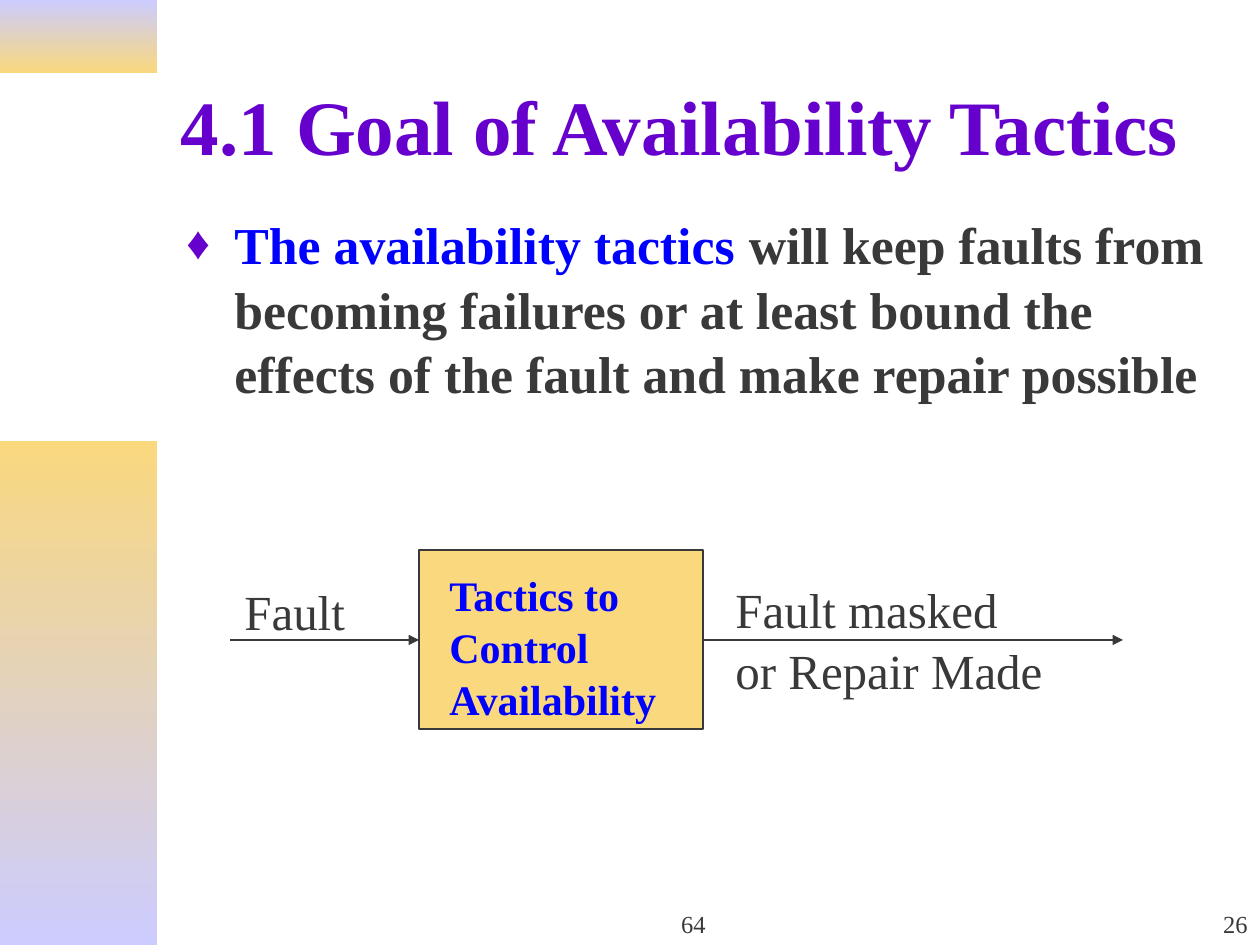
from lxml import etree
from pptx import Presentation
from pptx.dml.color import RGBColor
from pptx.enum.shapes import MSO_CONNECTOR, MSO_SHAPE
from pptx.enum.text import MSO_ANCHOR, PP_ALIGN
from pptx.oxml.ns import qn
from pptx.util import Pt

STRAIGHT = MSO_CONNECTOR.STRAIGHT
RECTANGLE = MSO_SHAPE.RECTANGLE
TOP, MIDDLE, BOTTOM = MSO_ANCHOR.TOP, MSO_ANCHOR.MIDDLE, MSO_ANCHOR.BOTTOM
LEFT, CENTER, RIGHT = PP_ALIGN.LEFT, PP_ALIGN.CENTER, PP_ALIGN.RIGHT

EMU_PER_PX = 914400 / 126
FONT = "Times New Roman"
COLORS = {
    "lavender": "CCCCFF",
    "gold": "F9D87E",
    "purple": "6600CC",
    "blue": "0000FF",
    "dark": "393939",
}


def px(*lengths):
    return [round(length * EMU_PER_PX) for length in lengths]


def write_text(shape, runs, size, bold=False, anchor=TOP, align=LEFT, spacing=1.0):
    """Fill a shape with one paragraph of (text, color name) runs."""
    frame = shape.text_frame
    frame.word_wrap = True
    frame.vertical_anchor = anchor
    paragraph = frame.paragraphs[0]
    paragraph.alignment = align
    paragraph.line_spacing = spacing
    for text, color in runs:
        run = paragraph.add_run()
        run.text = text
        font_format = {"name": FONT, "size": Pt(size), "bold": bold}
        for attribute, value in font_format.items():
            setattr(run.font, attribute, value)
        run.font.color.rgb = RGBColor.from_string(COLORS[color])
    return paragraph


presentation = Presentation()
presentation.slide_width, presentation.slide_height = px(1260, 945)
slide = presentation.slides.add_slide(presentation.slide_layouts[5])
shapes = slide.shapes

# Gradient side bands
for top, height, band_colors in [
    (0, 73, ("lavender", "gold")),
    (441, 504, ("gold", "lavender")),
]:
    band = shapes.add_shape(RECTANGLE, *px(0, top, 157, height))
    band.shadow.inherit = False
    band.line.fill.background()
    band.fill.gradient()
    band.fill.gradient_angle = 270
    for stop, color in zip(band.fill.gradient_stops, band_colors):
        stop.color.rgb = RGBColor.from_string(COLORS[color])

# Title
title = shapes.title
title.left, title.top, title.width, title.height = px(168, 42, 1071, 166)
write_text(title, [("4.1 Goal of Availability Tactics", "purple")], 44, True, MIDDLE)

# Bulleted statement
body = shapes.add_textbox(*px(174, 204, 1071, 277))
statement = write_text(
    body,
    [
        ("The availability tactics ", "blue"),
        ("will keep faults from becoming failures or at least bound the "
         "effects of the fault and make repair possible", "dark"),
    ],
    29.6, True, spacing=1.04,
)
statement.space_before = Pt(8)
properties = statement._p.get_or_add_pPr()
indent, = px(48)
properties.set("marL", str(indent))
properties.set("indent", str(-indent))
bullet_color = etree.SubElement(properties, qn("a:buClr"))
etree.SubElement(bullet_color, qn("a:srgbClr"), val=COLORS["purple"])
etree.SubElement(properties, qn("a:buSzPct"), val="90000")
etree.SubElement(properties, qn("a:buFont"), typeface=FONT)
etree.SubElement(properties, qn("a:buChar"), char="♦")

# Tactics box
tactics_box = shapes.add_shape(RECTANGLE, *px(419, 550, 284, 179))
tactics_box.shadow.inherit = False
tactics_box.fill.solid()
tactics_box.fill.fore_color.rgb = RGBColor.from_string(COLORS["gold"])
tactics_box.line.color.rgb = RGBColor.from_string(COLORS["dark"])
tactics_box.line.width = Pt(1)

# Arrows into and out of the box
for start, end in [(230, 419), (703, 1123)]:
    arrow = shapes.add_connector(STRAIGHT, *px(start, 640, end, 640))
    arrow.line.color.rgb = RGBColor.from_string(COLORS["dark"])
    arrow.line.width = Pt(1)
    etree.SubElement(arrow.line._get_or_add_ln(), qn("a:tailEnd"), type="triangle")
    etree.SubElement(arrow._element.spPr, qn("a:effectLst"))

# Diagram labels
for text, box, size, bold, color in [
    ("Tactics to Control Availability", (437, 561, 252, 164), 24, True, "blue"),
    ("Fault", (232, 573, 166, 72), 28, False, "dark"),
    ("Fault masked or Repair Made", (723, 571, 336, 131), 28, False, "dark"),
]:
    label = shapes.add_textbox(*px(*box))
    write_text(label, [(text, color)], size, bold, spacing=1.04)

# Footer numbers
for text, left, width, align in [("64", 494, 399, CENTER), ("26", 998, 262, RIGHT)]:
    footer = shapes.add_textbox(*px(left, 882, width, 63))
    write_text(footer, [(text, "dark")], 14, anchor=BOTTOM, align=align)

presentation.save("out.pptx")
